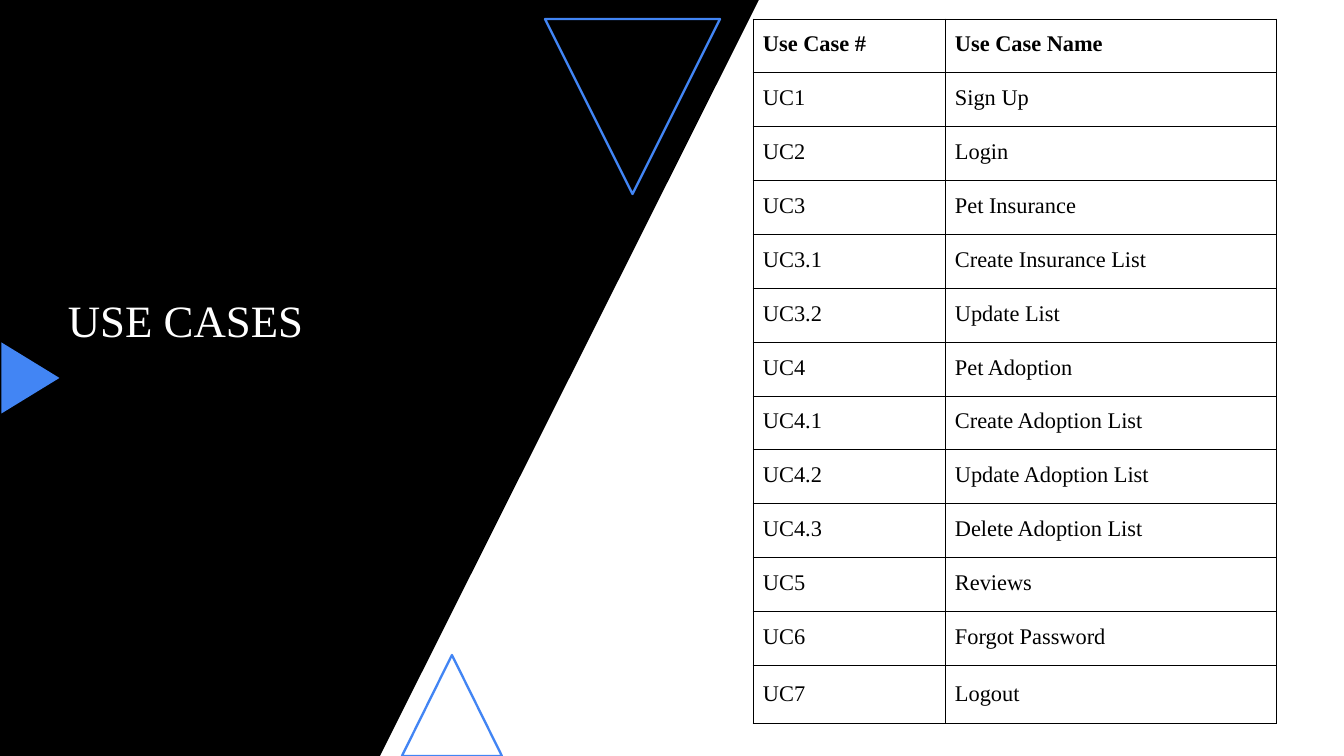
"""Build the use cases slide with a slanted title panel and a use case table."""
from lxml.etree import SubElement
from pptx import Presentation
from pptx.dml.color import RGBColor
from pptx.enum.shapes import MSO_SHAPE as Shape
from pptx.enum.text import MSO_ANCHOR as Anchor, PP_ALIGN as Align
from pptx.oxml import parse_xml
from pptx.oxml.ns import nsdecls, qn
from pptx.util import Pt

SCALE = 914400 / 134.4
FONT = "Times New Roman"
BLACK, WHITE, BLUE = "000000", "FFFFFF", "4285F4"


def px(length):
    return round(length * SCALE)


def color(value):
    return RGBColor.from_string(value)


presentation = Presentation()
presentation.slide_width, presentation.slide_height = px(1344), px(756)
slide = presentation.slides.add_slide(presentation.slide_layouts[6])
shapes = slide.shapes

builder = shapes.build_freeform(0, 0, scale=SCALE)
builder.add_line_segments([(759, 0), (380, 756), (0, 756)], close=True)
panel = builder.convert_to_shape()
panel.shadow.inherit = False
panel.fill.solid()
panel.fill.fore_color.rgb = color(BLACK)
panel.line.fill.background()

triangles = [
    (402, 655, 100, 101, 0, False),
    (545, 19, 175, 175, 180, False),
    (-5, 349, 71, 58, 90, True),
]
for left, top, width, height, rotation, filled in triangles:
    triangle = shapes.add_shape(Shape.ISOSCELES_TRIANGLE, px(left), px(top), px(width), px(height))
    triangle.rotation = rotation
    triangle.shadow.inherit = False
    if filled:
        triangle.fill.solid()
        triangle.fill.fore_color.rgb = color(BLUE)
        triangle.line.fill.background()
    else:
        triangle.fill.background()
        triangle.line.color.rgb = color(BLUE)
        triangle.line.width = Pt(1.25)

title = shapes.add_textbox(px(20), px(294), px(331), px(168))
frame = title.text_frame
frame.word_wrap = True
frame.vertical_anchor = Anchor.TOP
frame.margin_left = frame.margin_right = px(10)
frame.margin_top = frame.margin_bottom = px(5)
paragraph = frame.paragraphs[0]
paragraph.text = "USE CASES"
paragraph.alignment = Align.CENTER
paragraph.line_spacing = 0.9
paragraph.font.name = FONT
paragraph.font.size = Pt(24)
paragraph.font.color.rgb = color(WHITE)

use_cases = [
    ("Use Case #", "Use Case Name"),
    ("UC1", "Sign Up"),
    ("UC2", "Login"),
    ("UC3", "Pet Insurance"),
    ("UC3.1", "Create Insurance List"),
    ("UC3.2", "Update List"),
    ("UC4", "Pet Adoption"),
    ("UC4.1", "Create Adoption List"),
    ("UC4.2", "Update Adoption List"),
    ("UC4.3", "Delete Adoption List"),
    ("UC5", "Reviews"),
    ("UC6", "Forgot Password"),
    ("UC7", "Logout"),
]
last_row = len(use_cases) - 1
row_height = 51
table = shapes.add_table(
    len(use_cases), 2, px(753), px(19), px(524), px(row_height * len(use_cases))
).table
table.first_row = table.horz_banding = False
table.columns[0].width, table.columns[1].width = px(192), px(332)

for row_index, texts in enumerate(use_cases):
    table.rows[row_index].height = px(row_height)
    for column_index, text in enumerate(texts):
        cell = table.cell(row_index, column_index)
        cell.fill.background()
        cell.margin_left = cell.margin_right = px(10)
        cell.margin_top, cell.margin_bottom = px(13), px(14)
        paragraph = cell.text_frame.paragraphs[0]
        paragraph.text = text
        paragraph.font.name = FONT
        paragraph.font.size = Pt(12)
        paragraph.font.bold = row_index == 0
        paragraph.font.color.rgb = color(BLACK)
        if row_index == last_row:
            paragraph.line_spacing = 1.15
        properties = cell._tc.get_or_add_tcPr()
        for position, side in enumerate(("lnL", "lnR", "lnT", "lnB")):
            border = parse_xml(f'<a:{side} {nsdecls("a")} w="{Pt(0.6)}"/>')
            fill = SubElement(border, qn("a:solidFill"))
            SubElement(fill, qn("a:srgbClr"), val=BLACK)
            properties.insert(position, border)

presentation.save("out.pptx")
